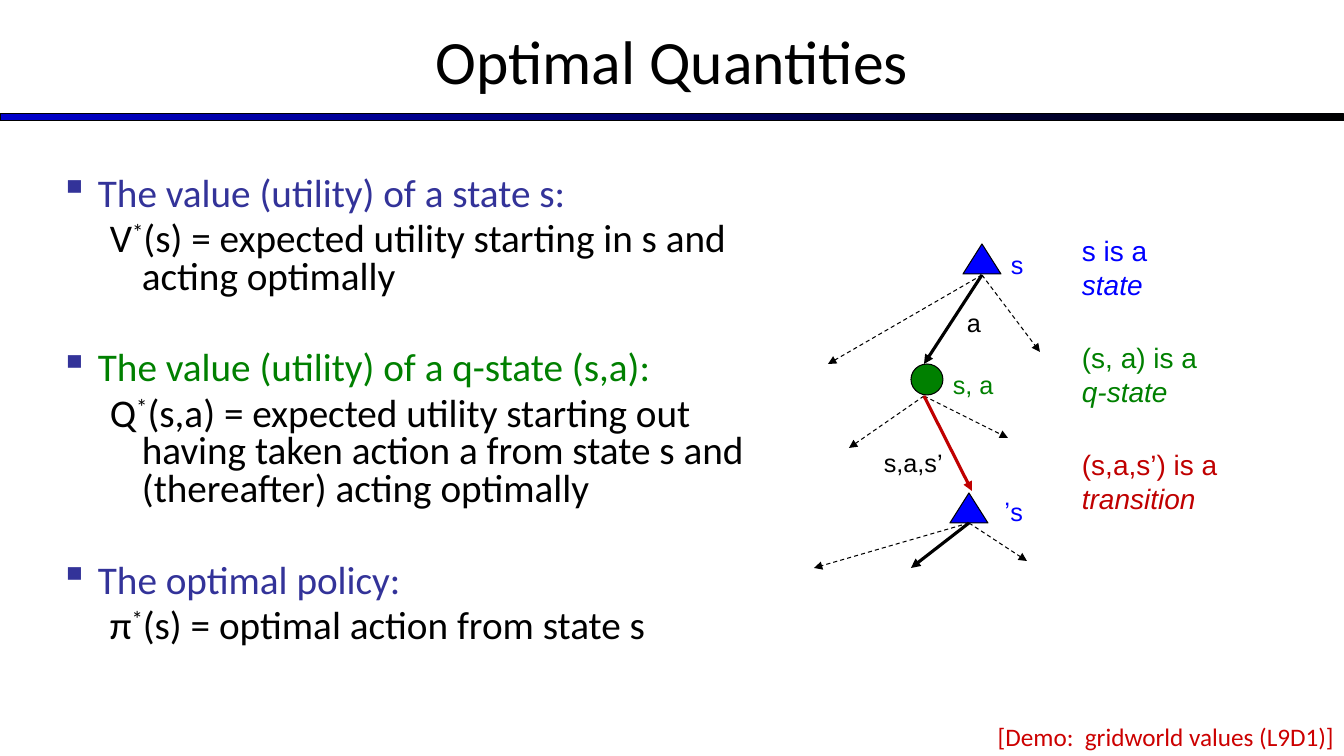
"""Build the slide on optimal quantities with its search tree."""
from lxml.etree import SubElement
from pptx import Presentation
from pptx.dml.color import RGBColor
from pptx.enum.dml import MSO_LINE
from pptx.enum.shapes import MSO_CONNECTOR, MSO_SHAPE
from pptx.enum.text import MSO_ANCHOR, PP_ALIGN
from pptx.oxml.ns import qn
from pptx.util import Emu, Pt

BLACK = RGBColor(0, 0, 0)
BLUE = RGBColor(0, 0, 255)
NAVY = RGBColor(0, 0, 204)
INDIGO = RGBColor(51, 51, 153)
GREEN = RGBColor(0, 128, 0)
CRIMSON = RGBColor(192, 0, 0)
RED = RGBColor(204, 0, 0)

TITLE = "Optimal Quantities"
DEMO = "[Demo:  gridworld values (L9D1)]"
POINTS = [
    ("The value (utility) of a state s:", INDIGO,
     "V", "(s) = expected utility starting in s and acting optimally", 0),
    ("The value (utility) of a q-state (s,a):", GREEN,
     "Q", "(s,a) = expected utility starting out having taken action a "
     "from state s and (thereafter) acting optimally", 1),
    ("The optimal policy:", INDIGO,
     "π", "(s) = optimal action from state s", 1),
]
NODES = [
    (MSO_SHAPE.ISOSCELES_TRIANGLE, (963, 244, 38, 30), BLUE),
    (MSO_SHAPE.ISOSCELES_TRIANGLE, (950, 493, 38, 30), BLUE),
    (MSO_SHAPE.OVAL, (911, 364, 32, 31), GREEN),
]
FANS = [
    ((982, 275), (924, 364), BLACK, [(828, 364), (1040, 352)]),
    ((924, 396), (972, 491), CRIMSON, [(849, 448), (1008, 438)]),
    ((969, 523), (911, 568), BLACK, [(814, 568), (1027, 561)]),
]
LABELS = [
    ("a", (957, 302, 32, 40), BLACK, False),
    ("s", (1001, 244, 32, 40), BLUE, False),
    ("s’", (991, 491, 42, 40), BLUE, True),
    ("s, a", (943, 364, 65, 40), GREEN, False),
    ("s,a,s’", (874, 442, 91, 40), BLACK, False),
]
KEYS = [
    ("s is a", "state", BLUE),
    ("(s, a) is a", "q-state", GREEN),
    ("(s,a,s’) is a", "transition", CRIMSON),
]
KEY_LEFT, KEY_TOP, KEY_STEP = 1072, 229, 107

BODY_SIZE = 28
GAP = 5.6
BLANK_GAP = 38.5


def px(count):
    return Emu(round(count * 914400 / 100.8))


def write(frame, parts, size=18, font="Arial", color=BLACK,
          align=PP_ALIGN.LEFT, first=True, before=0, ratio=None,
          margin=0, hang=0, bullet=None, rtl=False):
    para = frame.paragraphs[0] if first else frame.add_paragraph()
    para.alignment = align
    para.space_before = Pt(before)
    if ratio:
        para.line_spacing = ratio
    props = para._p.get_or_add_pPr()
    props.set("marL", str(px(margin)))
    props.set("indent", str(-px(hang)))
    if rtl:
        props.set("rtl", "1")
    if bullet:
        tint = SubElement(props, qn("a:buClr"))
        SubElement(tint, qn("a:srgbClr")).set("val", str(INDIGO))
        SubElement(props, qn("a:buChar")).set("char", bullet)
    else:
        SubElement(props, qn("a:buNone"))
    for words, style in parts:
        if style == "break":
            para.add_line_break()
            continue
        run = para.add_run()
        run.text = words
        run.font.size = Pt(size)
        run.font.name = font
        run.font.color.rgb = color
        if style == "italic":
            run.font.italic = True
        if style == "super":
            run._r.get_or_add_rPr().set("baseline", "30000")


def add_box(slide, rect, anchor=MSO_ANCHOR.TOP):
    frame = slide.shapes.add_textbox(*map(px, rect)).text_frame
    frame.word_wrap = True
    frame.vertical_anchor = anchor
    return frame


def add_form(slide, kind, rect):
    form = slide.shapes.add_shape(kind, *map(px, rect))
    form.shadow.inherit = False
    form.line.color.rgb = BLACK
    form.line.width = Pt(0.75)
    return form


def add_arrow(slide, start, end, color=BLACK, bold=False):
    arrow = slide.shapes.add_connector(
        MSO_CONNECTOR.STRAIGHT, *map(px, start + end))
    arrow.line.color.rgb = color
    arrow.line.width = Pt(2.25 if bold else 0.75)
    if not bold:
        arrow.line.dash_style = MSO_LINE.DASH
    SubElement(arrow.line._get_or_add_ln(), qn("a:tailEnd")).set(
        "type", "triangle")
    SubElement(arrow._element.spPr, qn("a:effectLst"))


def add_head(slide):
    bar = add_form(slide, MSO_SHAPE.RECTANGLE, (0, 114, 1344, 7))
    bar.fill.gradient()
    bar.fill.gradient_angle = 0
    for stop, color, place in zip(
            bar.fill.gradient_stops, (NAVY, BLACK), (0, 1)):
        stop.color.rgb = color
        stop.position = place
    frame = add_box(slide, (0, -3, 1344, 126), MSO_ANCHOR.MIDDLE)
    write(frame, [(TITLE, None)], size=44, font="Calibri",
          align=PP_ALIGN.CENTER)


def add_body(slide):
    frame = add_box(slide, (50, 172, 739, 500))
    look = dict(size=BODY_SIZE, font="Calibri", ratio=0.8)
    for rank, (head, color, sign, rest, blank) in enumerate(POINTS):
        write(frame, [(head, None)], color=color, first=rank == 0,
              before=BLANK_GAP if blank else GAP,
              margin=38, hang=38, bullet="▪", **look)
        write(frame, [(sign, None), ("*", "super"), (rest, None)],
              first=False, before=GAP, margin=82, hang=32, **look)


def add_tree(slide):
    for kind, rect, color in NODES:
        node = add_form(slide, kind, rect)
        node.fill.solid()
        node.fill.fore_color.rgb = color
    for root, main, color, sides in FANS:
        for side in sides:
            add_arrow(slide, root, side)
        add_arrow(slide, root, main, color, bold=True)
    for words, rect, color, rtl in LABELS:
        write(add_box(slide, rect), [(words, None)], color=color, rtl=rtl,
              align=PP_ALIGN.RIGHT if rtl else PP_ALIGN.LEFT)
    for rank, (lead, term, color) in enumerate(KEYS):
        rect = (KEY_LEFT, KEY_TOP + rank * KEY_STEP, 239, 78)
        write(add_box(slide, rect),
              [(lead, None), ("", "break"), (term, "italic")],
              size=20, color=color)


def main():
    deck = Presentation()
    deck.slide_width, deck.slide_height = px(1344), px(756)
    slide = deck.slides.add_slide(deck.slide_layouts[6])
    add_head(slide)
    add_body(slide)
    add_tree(slide)
    write(add_box(slide, (849, 716, 495, 40)), [(DEMO, None)],
          font="Calibri", color=RED, align=PP_ALIGN.RIGHT)
    deck.save("out.pptx")


if __name__ == "__main__":
    main()
